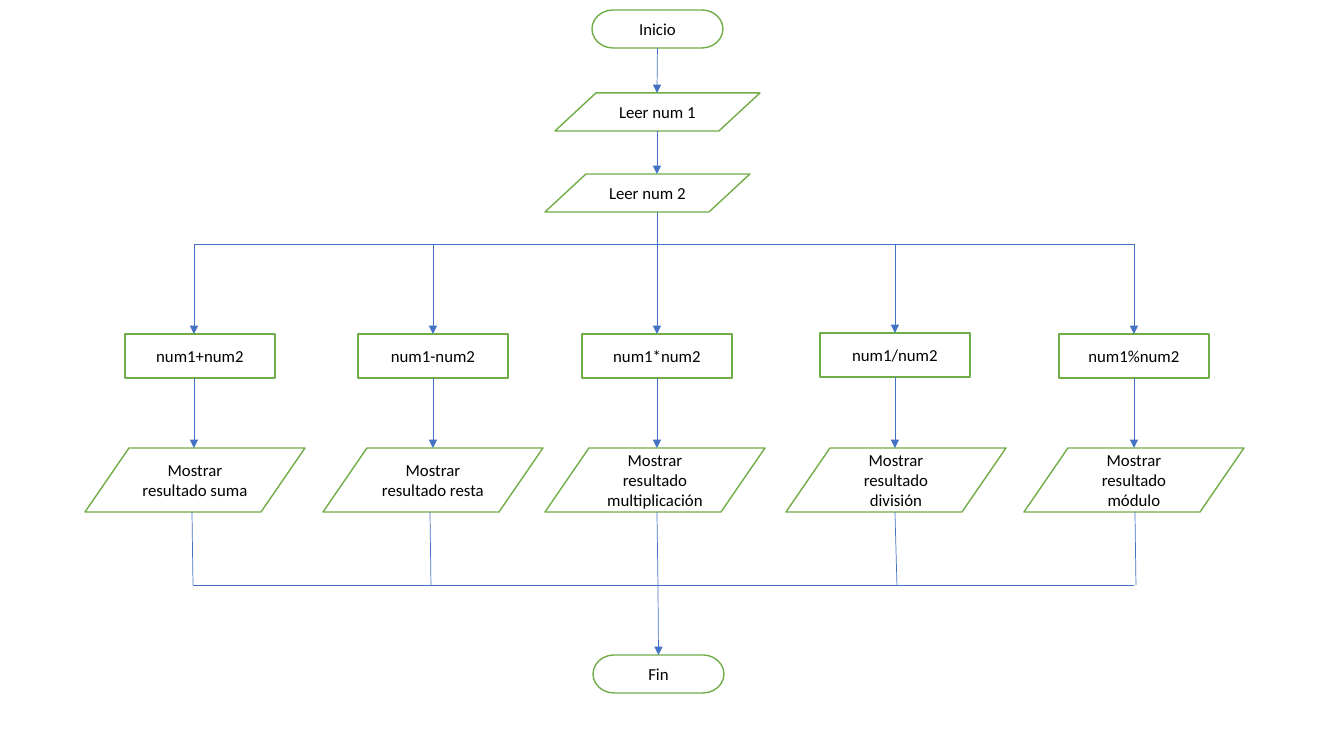
"""Build a flowchart slide that shows five operations on two numbers."""
import pptx
import pptx.util
import pptx.dml.color
import pptx.enum.shapes
import pptx.enum.text
import pptx.oxml.ns
import lxml.etree

RGB = pptx.dml.color.RGBColor
GREEN = RGB(0x70, 0xAD, 0x47)
BLUE = RGB(0x44, 0x72, 0xC4)
WHITE = RGB(0xFF, 0xFF, 0xFF)
BLACK = RGB(0, 0, 0)
FORMS = pptx.enum.shapes.MSO_SHAPE
PILL = FORMS.FLOWCHART_TERMINATOR
DATA = FORMS.FLOWCHART_DATA
RECT = FORMS.RECTANGLE

START = ("Inicio", 592, 10)
INPUTS = [("Leer num 1", 555, 93), ("Leer num 2", 545, 174)]
FINISH = ("Fin", 593, 655)
BRANCHES = [
    dict(sum="num1+num2", show="Mostrar resultado suma",
         left=125, top=334, axis=194, slant=85, leg=(192, 193)),
    dict(sum="num1-num2", show="Mostrar resultado resta",
         left=358, top=334, axis=433, slant=323, leg=(430, 431)),
    dict(sum="num1*num2", show="Mostrar resultado multiplicación",
         left=582, top=334, axis=657, slant=545, leg=(657, 658)),
    dict(sum="num1/num2", show="Mostrar resultado división",
         left=820, top=333, axis=895, slant=786, leg=(895, 897)),
    dict(sum="num1%num2", show="Mostrar resultado módulo",
         left=1059, top=334, axis=1134, slant=1024, leg=(1135, 1136)),
]
WIDE, HIGH = 1344, 756
PILL_W, DATA_W, STEP_H = 131, 205, 38
RECT_W, RECT_H = 150, 44
SHOW_W, SHOW_H, SHOW_Y = 220, 64, 448
MID, FORK_Y, JOIN_Y = 657, 244, 585


def px(num):
    """Turn pixels into EMU."""
    return pptx.util.Emu(round(num * 914400 / 100.8))


def write(frame, text, size=12, font="Calibri", color=BLACK):
    """Write centred text into a frame."""
    frame.word_wrap = True
    frame.vertical_anchor = pptx.enum.text.MSO_ANCHOR.MIDDLE
    par = frame.paragraphs[0]
    par.alignment = pptx.enum.text.PP_ALIGN.CENTER
    run = par.add_run()
    run.text = text
    run.font.size = pptx.util.Pt(size)
    run.font.name = font
    run.font.color.rgb = color


def box(form, text, left, top, width, height):
    """Add an outlined box with text."""
    shape = slide.shapes.add_shape(form, px(left), px(top), px(width), px(height))
    shape.shadow.inherit = False
    shape.fill.solid()
    shape.fill.fore_color.rgb = WHITE
    shape.line.color.rgb = GREEN
    shape.line.width = pptx.util.Pt(1)
    write(shape.text_frame, text)
    return shape


def link(start, end, arrow=False, tail=None, head=None):
    """Add a line, joined to the bottom of tail and the top of head."""
    kind = pptx.enum.shapes.MSO_CONNECTOR.STRAIGHT
    line = slide.shapes.add_connector(kind, *map(px, start + end))
    line.line.color.rgb = BLUE
    line.line.width = pptx.util.Pt(0.5)
    qn = pptx.oxml.ns.qn
    if arrow:
        edge = line.line._get_or_add_ln()
        lxml.etree.SubElement(edge, qn("a:tailEnd"), type="triangle")
    lxml.etree.SubElement(line._element.spPr, qn("a:effectLst"))
    if tail is not None:
        line.begin_connect(tail, 2)
    if head is not None:
        line.end_connect(head, 0)


deck = pptx.Presentation()
deck.slide_width, deck.slide_height = px(WIDE), px(HIGH)
slide = deck.slides.add_slide(deck.slide_layouts[6])

first = box(PILL, *START, PILL_W, STEP_H)
last = box(PILL, *FINISH, PILL_W, STEP_H)
above, low = first, START[2] + STEP_H
for text, left, top in INPUTS:
    box(DATA, text, left, top, DATA_W, STEP_H)
    link((MID, low), (MID, top), arrow=True, tail=above)
    above, low = None, top + STEP_H
link((MID, low), (MID, FORK_Y))
link((BRANCHES[0]["axis"], FORK_Y), (BRANCHES[-1]["axis"], FORK_Y))

for part in BRANCHES:
    axis, top = part["axis"], part["top"]
    work = box(RECT, part["sum"], part["left"], top, RECT_W, RECT_H)
    box(DATA, part["show"], part["slant"], SHOW_Y, SHOW_W, SHOW_H)
    mate = work if axis == part["left"] + RECT_W // 2 else None
    link((axis, FORK_Y), (axis, top), arrow=True, head=mate)
    link((axis, top + RECT_H), (axis, SHOW_Y), arrow=True, tail=mate)
    high, base = part["leg"]
    link((high, SHOW_Y + SHOW_H), (base, JOIN_Y))

link((BRANCHES[0]["leg"][1], JOIN_Y), (BRANCHES[-1]["axis"], JOIN_Y))
link((MID + 1, JOIN_Y), (MID + 1, FINISH[2]), arrow=True, head=last)
deck.save("out.pptx")
